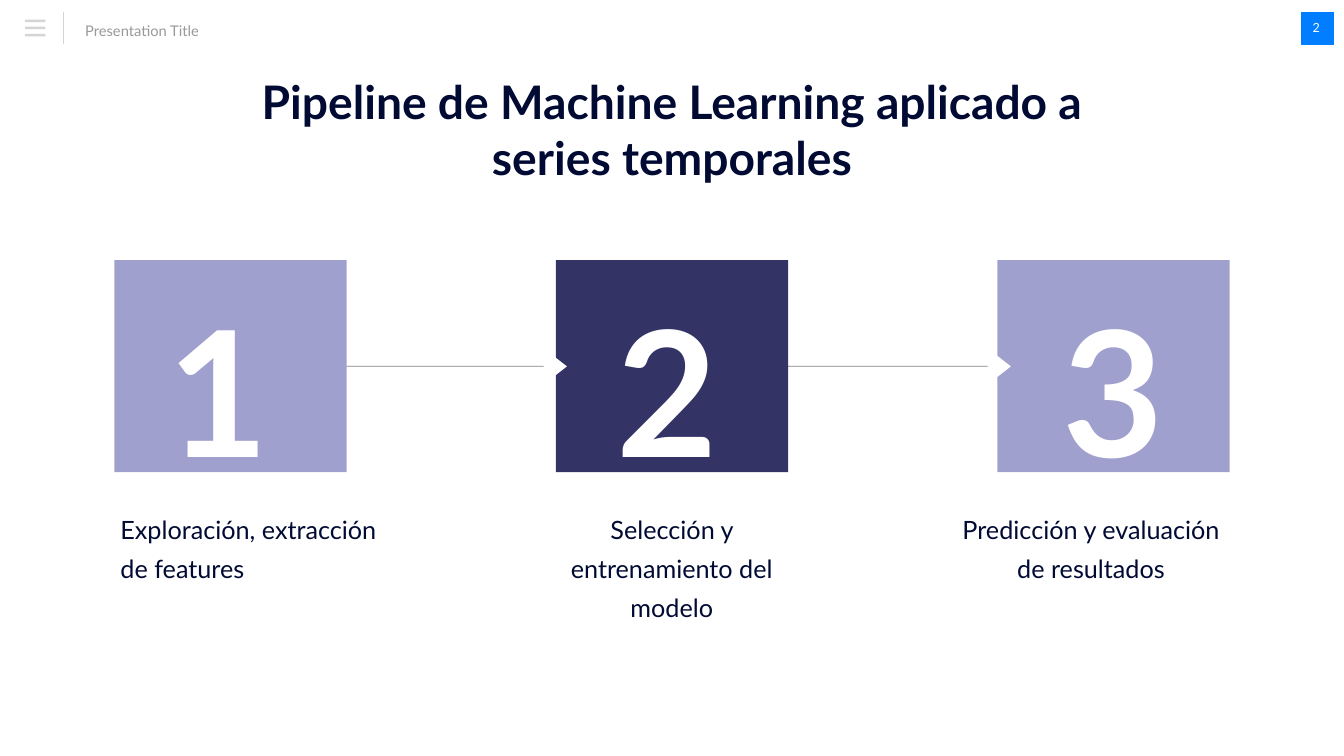
from lxml.etree import SubElement
from pptx import Presentation
from pptx.dml.color import RGBColor
from pptx.enum.shapes import MSO_CONNECTOR, MSO_SHAPE
from pptx.enum.text import MSO_ANCHOR, MSO_AUTO_SIZE, PP_ALIGN
from pptx.oxml.ns import qn
from pptx.util import Inches, Pt

WIDTH, HEIGHT = 26.67, 15
FONT = "Lato"
NAVY, INDIGO, LAVENDER = "000A33", "333366", "A0A0CF"
BLUE, WHITE, PALE, GRAY = "007EFF", "FFFFFF", "D5D5D5", "999999"

# Step grid: square size, first column and distance between columns
STEP_W, STEP_H = 4.61, 4.21
STEP_LEFT, STEP_TOP, STEP_PITCH = 2.27, 5.16, 8.76
LABEL_LEFT, LABEL_PITCH = 2.33, 8.32

# Number, left of the number, label, label height, label alignment
STEPS = [
    ("1", 3.27, "Exploración, extracción de features", 1.62, PP_ALIGN.LEFT),
    ("2", 12.19, "Selección y entrenamiento del modelo", 2.41, PP_ALIGN.CENTER),
    ("3", 21.04, "Predicción y evaluación de resultados", 1.62, PP_ALIGN.CENTER),
]


def color(value):
    return RGBColor.from_string(value)


def box(*lengths):
    return [Inches(length) for length in lengths]


def add_block(slide, kind, area, fill, outline=None):
    block = slide.shapes.add_shape(kind, *box(*area))
    block.shadow.inherit = False
    block.fill.solid()
    block.fill.fore_color.rgb = color(fill)
    if outline:
        block.line.color.rgb = color(outline)
        block.line.width = Pt(1)
    else:
        block.line.fill.background()
    return block


def add_rule(slide, start, end, stroke, width, opacity=100):
    rule = slide.shapes.add_connector(MSO_CONNECTOR.STRAIGHT, *box(*start, *end))
    rule.line.color.rgb = color(stroke)
    rule.line.width = Pt(width)
    properties = rule._element.spPr
    if opacity < 100:
        tone = properties.find(".//" + qn("a:srgbClr"))
        SubElement(tone, qn("a:alpha")).set("val", str(opacity * 1000))
    SubElement(properties, qn("a:effectLst"))
    return rule


def write(frame, text, size, ink, bold=False, align=PP_ALIGN.LEFT,
          anchor=MSO_ANCHOR.TOP, wrap=True, leading=1.0, tracking=None):
    frame.auto_size = MSO_AUTO_SIZE.NONE
    frame.word_wrap = wrap
    frame.vertical_anchor = anchor
    frame.margin_left = frame.margin_right = Inches(0.06)
    frame.margin_top = frame.margin_bottom = Inches(0.06)
    paragraph = frame.paragraphs[0]
    paragraph.alignment = align
    paragraph.line_spacing = leading
    run = paragraph.add_run()
    run.text = text
    run.font.name = FONT
    run.font.size = Pt(size)
    run.font.bold = bold
    run.font.color.rgb = color(ink)
    if tracking is not None:
        run.font._element.set("spc", str(int(tracking * 100)))


def add_text(slide, area, text, size, ink, **style):
    write(slide.shapes.add_textbox(*box(*area)).text_frame, text, size, ink, **style)


def add_header(slide):
    # Page number badge
    add_block(slide, MSO_SHAPE.RECTANGLE, (25.82, 0.24, 0.64, 0.64), BLUE, BLUE)
    add_text(slide, (25.86, 0.33, 0.52, 0.42), "2", 18, WHITE,
             align=PP_ALIGN.CENTER, wrap=False)
    # Menu icon, divider and deck name
    for bar in range(3):
        add_block(slide, MSO_SHAPE.RECTANGLE, (0.5, 0.39 + 0.14 * bar, 0.4, 0.05), PALE)
    add_rule(slide, (1.26, 0.88), (1.26, 0.24), PALE, 2)
    add_text(slide, (1.63, 0.29, 2.5, 0.53), "Presentation Title", 21, GRAY,
             anchor=MSO_ANCHOR.MIDDLE, wrap=False, leading=1.3)


def add_title(slide, text):
    title = slide.shapes.title
    title.left, title.top, title.width, title.height = box(4.35, 1.4, 17.97, 2.33)
    write(title.text_frame, text, 66, NAVY, bold=True, align=PP_ALIGN.CENTER)


def add_square(slide, column, fill):
    left = STEP_LEFT + column * STEP_PITCH
    return add_block(slide, MSO_SHAPE.RECTANGLE, (left, STEP_TOP, STEP_W, STEP_H), fill)


def add_pipeline(slide):
    # The line joins the outer squares and passes behind the middle one
    first, last = [add_square(slide, column, LAVENDER) for column in (0, 2)]
    middle_y = STEP_TOP + STEP_H / 2
    flow = add_rule(slide, (STEP_LEFT + STEP_W, middle_y),
                    (STEP_LEFT + 2 * STEP_PITCH, middle_y), "5E5E5E", 1, opacity=77)
    flow.begin_connect(first, 3)
    flow.end_connect(last, 1)
    add_square(slide, 1, INDIGO)

    # Arrows entering the second and third steps
    for left in (10.79, 19.6):
        arrow = add_block(slide, MSO_SHAPE.RIGHT_ARROW, (left, 7.04, 0.46, 0.46), WHITE)
        arrow.adjustments[0], arrow.adjustments[1] = 0.32, 0.64

    # Numbers and labels
    for column, (number, number_left, label, height, align) in enumerate(STEPS):
        add_text(slide, (number_left, 4.9, 2.11, 4.74), number, 250, WHITE, bold=True,
                 align=PP_ALIGN.CENTER, anchor=MSO_ANCHOR.MIDDLE, wrap=False,
                 leading=1.2, tracking=-7.5)
        add_text(slide, (LABEL_LEFT + column * LABEL_PITCH, 9.96, 5.36, height),
                 label, 36, NAVY, align=align, leading=1.3)


def main():
    deck = Presentation()
    deck.slide_width, deck.slide_height = box(WIDTH, HEIGHT)
    slide = deck.slides.add_slide(deck.slide_layouts[5])
    slide.background.fill.solid()
    slide.background.fill.fore_color.rgb = color(WHITE)
    add_header(slide)
    add_pipeline(slide)
    add_title(slide, "Pipeline de Machine Learning aplicado a series temporales")
    deck.save("out.pptx")


if __name__ == "__main__":
    main()
